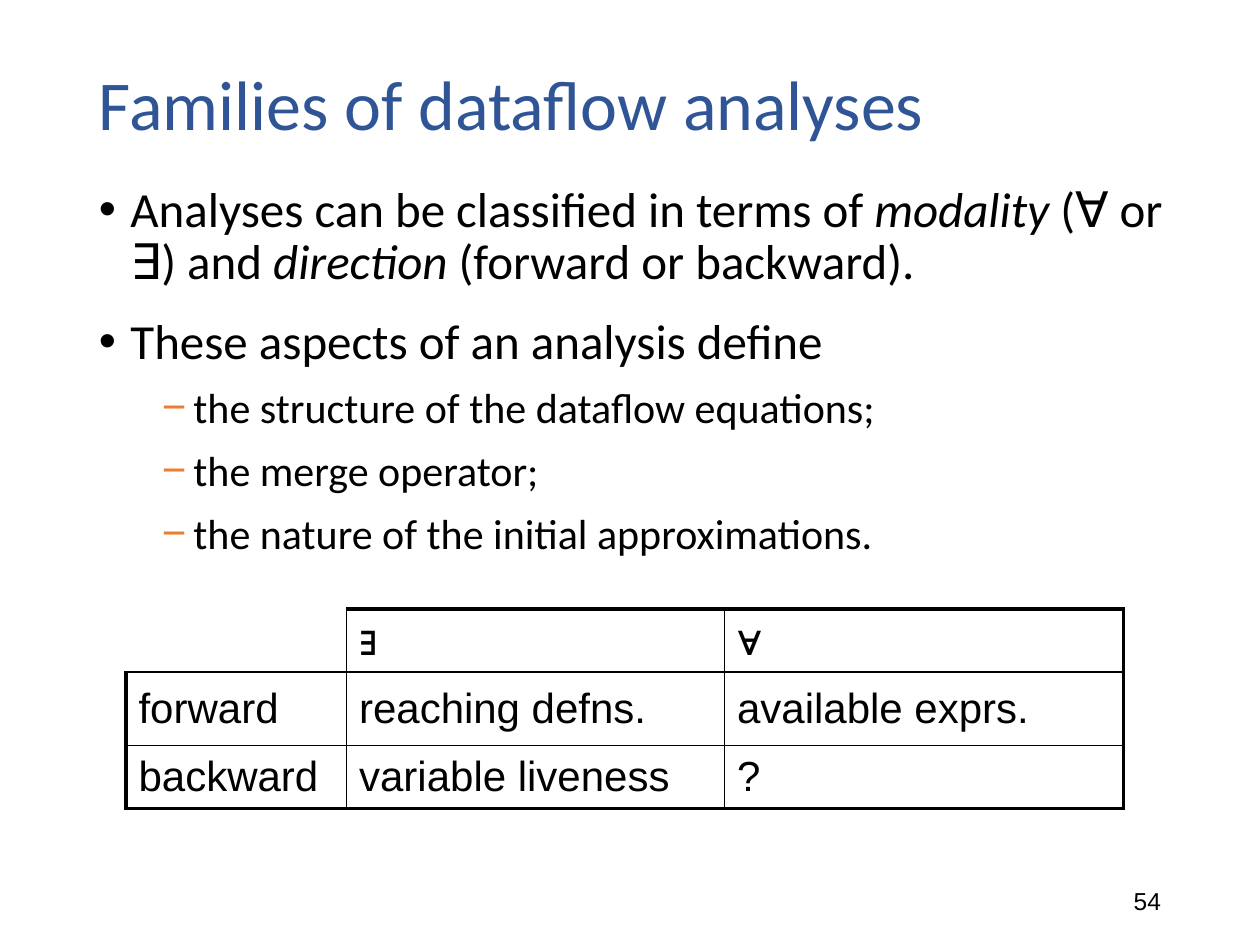
from dataclasses import dataclass

from lxml import etree
from pptx import Presentation
from pptx.dml.color import RGBColor
from pptx.enum.text import MSO_ANCHOR, PP_ALIGN
from pptx.oxml.ns import qn
from pptx.util import Pt

MIDDLE, TOP = MSO_ANCHOR.MIDDLE, MSO_ANCHOR.TOP
LEFT, RIGHT = PP_ALIGN.LEFT, PP_ALIGN.RIGHT


@dataclass(frozen=True)
class Theme:
    heading_font: str = "Calibri"
    table_font: str = "Arial"
    ink: str = "000000"
    heading: str = "2F5597"
    accent: str = "ED7D31"
    title_size: float = 40
    point_size: float = 28
    detail_size: float = 24
    number_size: float = 14
    outer_rule: float = 2.25
    inner_rule: float = 1


THEME = Theme()

POINTS = [
    (0, ["Analyses can be classified in terms of ", "modality", " (∀ or ∃) and ",
         "direction", " (forward or backward)."]),
    (0, ["These aspects of an analysis define"]),
    (1, ["the structure of the dataflow equations;"]),
    (1, ["the merge operator;"]),
    (1, ["the nature of the initial approximations."]),
]

CLASSIFICATION = [
    ["", "∃", "∀"],
    ["forward", "reaching defns.", "available exprs."],
    ["backward", "variable liveness", "?"],
]


def write(paragraph, text, *, size, font=THEME.heading_font, color=THEME.ink,
          italic=False, align=LEFT):
    paragraph.alignment = align
    run = paragraph.add_run()
    run.text = text
    run.font.name = font
    run.font.size = Pt(size)
    run.font.italic = italic
    run.font.color.rgb = RGBColor.from_string(color)


def add_frame(slide, box, anchor):
    frame = slide.shapes.add_textbox(*map(Pt, box)).text_frame
    frame.word_wrap = True
    frame.vertical_anchor = anchor
    return frame


def set_bullet(paragraph, mark, color, indent, hanging):
    properties = paragraph._p.get_or_add_pPr()
    properties.set("marL", str(Pt(indent)))
    properties.set("indent", str(-Pt(hanging)))
    bullet_color = etree.SubElement(properties, qn("a:buClr"))
    etree.SubElement(bullet_color, qn("a:srgbClr"), val=color)
    etree.SubElement(properties, qn("a:buFont"), typeface="Arial")
    etree.SubElement(properties, qn("a:buChar"), char=mark)


def place_title(slide, box, text):
    heading = add_frame(slide, box, MIDDLE).paragraphs[0]
    heading.line_spacing = 0.9
    write(heading, text, size=THEME.title_size, color=THEME.heading)


def place_points(slide, box, points):
    frame = add_frame(slide, box, TOP)
    levels = [
        ("•", THEME.ink, 18, THEME.point_size, 10),
        ("−", THEME.accent, 54, THEME.detail_size, 5),
    ]
    for index, (level, phrases) in enumerate(points):
        mark, mark_color, indent, size, before = levels[level]
        point = frame.add_paragraph() if index else frame.paragraphs[0]
        point.level = level
        set_bullet(point, mark, mark_color, indent, hanging=18)
        point.line_spacing = 0.9
        point.space_before = Pt(before if index else 0)
        point.space_after = Pt(5)
        for position, phrase in enumerate(phrases):
            write(point, phrase, size=size, italic=position % 2 == 1)


def set_borders(cell, widths):
    properties = cell._tc.get_or_add_tcPr()
    for index, (side, width) in enumerate(zip("LRTB", widths)):
        line = etree.Element(qn(f"a:ln{side}"), w=str(Pt(width)))
        if width:
            fill = etree.SubElement(line, qn("a:solidFill"))
            etree.SubElement(fill, qn("a:srgbClr"), val=THEME.ink)
        else:
            etree.SubElement(line, qn("a:noFill"))
        properties.insert(index, line)


def place_classification(slide, box, rows, column_widths, row_heights):
    last_row, last_column = len(rows) - 1, len(column_widths) - 1
    table = slide.shapes.add_table(len(rows), len(column_widths), *map(Pt, box)).table
    table.first_row = table.horz_banding = False
    for column, width in zip(table.columns, column_widths):
        column.width = Pt(width)
    for row, height in zip(table.rows, row_heights):
        row.height = Pt(height)
    for r, labels in enumerate(rows):
        for c, label in enumerate(labels):
            cell = table.cell(r, c)
            cell.fill.background()
            cell.vertical_anchor = MIDDLE
            outer = THEME.outer_rule if label else 0
            edges = (c == 0, c == last_column, r == 0, r == last_row)
            set_borders(cell, [outer if edge else THEME.inner_rule for edge in edges])
            if label:
                write(cell.text_frame.paragraphs[0], label,
                      size=THEME.detail_size, font=THEME.table_font)


def place_page_number(slide, box, number):
    write(add_frame(slide, box, MIDDLE).paragraphs[0], number,
          size=THEME.number_size, font=THEME.table_font, align=RIGHT)


def main():
    deck = Presentation()
    deck.slide_width, deck.slide_height = Pt(720), Pt(540)
    slide = deck.slides.add_slide(deck.slide_layouts[6])
    place_page_number(slide, (508.5, 500.5, 162, 28.75), "54")
    place_title(slide, (49.5, 28.75, 648, 66), "Families of dataflow analyses")
    place_points(slide, (49.5, 102, 648, 228), POINTS)
    place_classification(slide, (72, 348, 570, 110), CLASSIFICATION,
                         column_widths=(126, 216, 228), row_heights=(34, 42, 34))
    deck.save("out.pptx")


if __name__ == "__main__":
    main()
